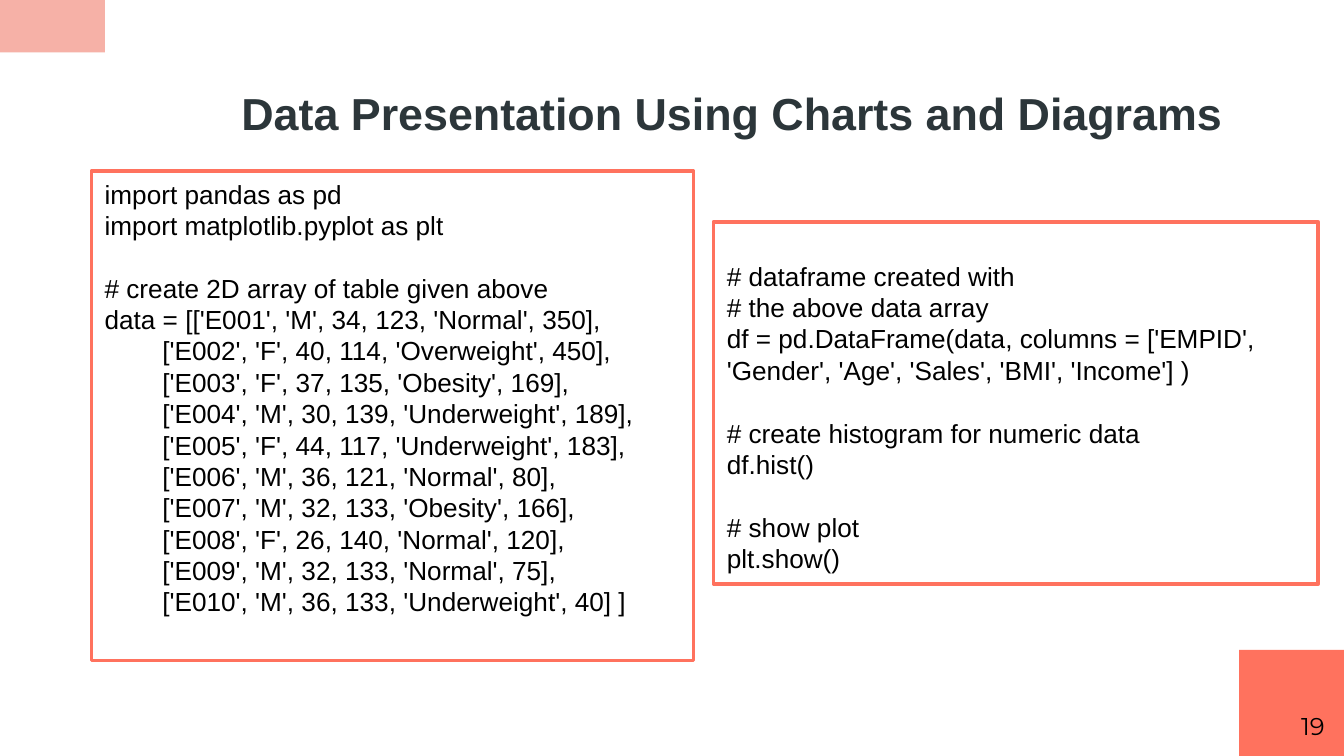
import dataclasses

import pptx
import pptx.dml.color
import pptx.enum.shapes
import pptx.enum.text
import pptx.util

ALIGN = pptx.enum.text.PP_ALIGN
ANCHOR = pptx.enum.text.MSO_ANCHOR
COLUMNS, ROWS = 100, 56.25


@dataclasses.dataclass(frozen=True)
class Theme:
    coral: str = "FF725E"
    blush: str = "F6B1A7"
    paper: str = "FFFFFF"
    slate: str = "2C363A"
    ink: str = "000000"
    text_font: str = "Arial"
    number_font: str = "Montserrat"
    title_size: float = 24
    code_size: float = 14
    number_size: float = 13
    code_line: float = 16.8
    border: float = 2


THEME = Theme()

SETUP_CODE = [
    ["import pandas as pd", "import matplotlib.pyplot as plt"],
    ["# create 2D array of table given above",
     "data = [['E001', 'M', 34, 123, 'Normal', 350],"],
]
ARRAY_ROWS = [
    "['E002', 'F', 40, 114, 'Overweight', 450],",
    "['E003', 'F', 37, 135, 'Obesity', 169],",
    "['E004', 'M', 30, 139, 'Underweight', 189],",
    "['E005', 'F', 44, 117, 'Underweight', 183],",
    "['E006', 'M', 36, 121, 'Normal', 80],",
    "['E007', 'M', 32, 133, 'Obesity', 166],",
    "['E008', 'F', 26, 140, 'Normal', 120],",
    "['E009', 'M', 32, 133, 'Normal', 75],",
    "['E010', 'M', 36, 133, 'Underweight', 40] ]",
]
PLOT_CODE = [
    ["# dataframe created with", "# the above data array",
     "df = pd.DataFrame(data, columns = ['EMPID', 'Gender', 'Age', 'Sales', 'BMI', 'Income'] )"],
    ["# create histogram for numeric data", "df.hist()"],
    ["# show plot", "plt.show()"],
]


def cells(count):
    return pptx.util.Inches(count / 10)


def area(column, row, width, height):
    return [cells(value) for value in (column, row, width, height)]


def color(code):
    return pptx.dml.color.RGBColor.from_string(code)


def format_para(para, font, size, ink, align=ALIGN.LEFT, bold=False):
    para.alignment = align
    for span in para.runs:
        span.font.name = font
        span.font.size = pptx.util.Pt(size)
        span.font.bold = bold
        span.font.color.rgb = color(ink)


def set_insets(frame, side, top, bottom):
    frame.margin_left = frame.margin_right = cells(side)
    frame.margin_top, frame.margin_bottom = cells(top), cells(bottom)
    frame.word_wrap = True
    frame.auto_size = pptx.enum.text.MSO_AUTO_SIZE.NONE


def add_block(page, place, fill, border=None):
    block = page.shapes.add_shape(
        pptx.enum.shapes.MSO_SHAPE.RECTANGLE, *area(*place))
    block.shadow.inherit = False
    block.fill.solid()
    block.fill.fore_color.rgb = color(fill)
    if border:
        block.line.color.rgb = color(border)
        block.line.width = pptx.util.Pt(THEME.border)
    else:
        block.line.fill.background()
    return block


def add_title(page, place, words):
    title = page.shapes.title
    title.left, title.top, title.width, title.height = area(*place)
    frame = title.text_frame
    set_insets(frame, 1, 1, 1)
    frame.vertical_anchor = ANCHOR.MIDDLE
    frame.text = words
    format_para(frame.paragraphs[0], THEME.text_font, THEME.title_size,
                THEME.slate, ALIGN.CENTER, bold=True)


def add_page_number(page, place, number):
    frame = page.shapes.add_textbox(*area(*place)).text_frame
    set_insets(frame, 1, 1, 1)
    frame.text = str(number)
    format_para(frame.paragraphs[0], THEME.number_font, THEME.number_size,
                THEME.ink, ALIGN.RIGHT)


def add_code(page, place, sections, nested=(), top=0.5):
    frame = add_block(page, place, THEME.paper, THEME.coral).text_frame
    set_insets(frame, 1, top, 0.5)
    frame.vertical_anchor = ANCHOR.TOP
    lines = [line for section in sections for line in section]
    frame.text = "\n".join([*lines, *nested])
    openings = {section[0] for section in sections[1:]}
    for index, para in enumerate(frame.paragraphs):
        format_para(para, THEME.text_font, THEME.code_size, THEME.ink)
        para.line_spacing = pptx.util.Pt(THEME.code_line)
        if para.text in openings:
            para.space_before = pptx.util.Pt(THEME.code_line)
        if index >= len(lines):
            properties = para._p.get_or_add_pPr()
            properties.set("marL", str(cells(4.3)))
            properties.set("indent", "0")


def main():
    deck = pptx.Presentation()
    deck.slide_width, deck.slide_height = cells(COLUMNS), cells(ROWS)
    page = deck.slides.add_slide(deck.slide_layouts[5])
    corner = 7.8
    add_block(page, (0, 0, corner, corner / 2), THEME.blush)
    add_block(page, (COLUMNS - corner, ROWS - 7.9, corner, 7.9), THEME.coral)
    add_title(page, (9.35, 4, 90.2, 8.7),
              "Data Presentation Using Charts and Diagrams")
    add_page_number(page, (93.55, 51.95, 6, 4.3), 19)
    add_code(page, (6.8, 12.75, 44.8, 36.4), SETUP_CODE, nested=ARRAY_ROWS)
    add_code(page, (53.1, 16.5, 45, 26.95), PLOT_CODE, top=2.85)
    deck.save("out.pptx")


if __name__ == "__main__":
    main()
